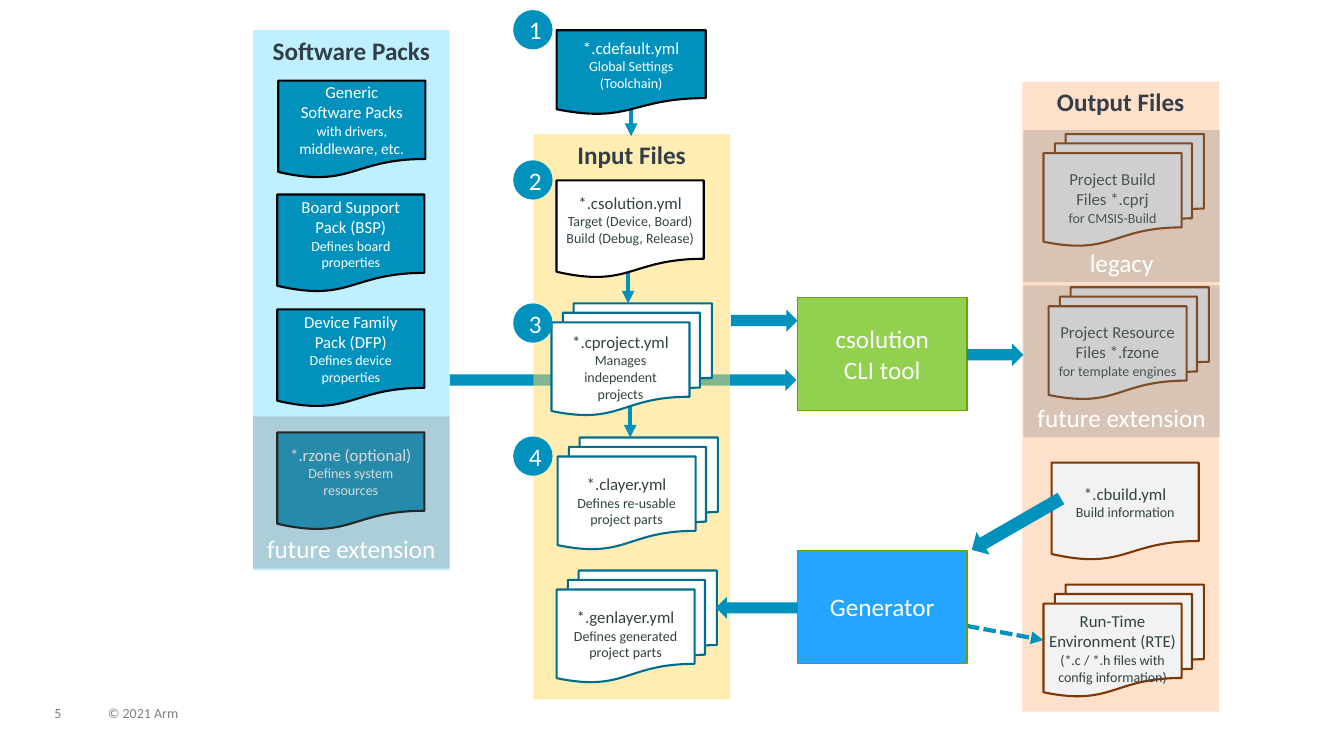
import pptx
import pptx.util
import pptx.dml.color
import pptx.enum.dml
import pptx.enum.shapes
import pptx.enum.text
import pptx.oxml.ns
import pptx.oxml.xmlchemy

Inches, Pt = pptx.util.Inches, pptx.util.Pt
RGBColor = pptx.dml.color.RGBColor
SHAPE = pptx.enum.shapes.MSO_SHAPE
ANCHOR = pptx.enum.text.MSO_ANCHOR
ALIGN = pptx.enum.text.PP_ALIGN

WHITE = RGBColor(0xFF, 0xFF, 0xFF)
BLACK = RGBColor(0x00, 0x00, 0x00)
BLUE = RGBColor(0x00, 0x91, 0xBD)
DARK_BLUE = RGBColor(0x00, 0x6D, 0x8E)
BRIGHT_BLUE = RGBColor(0x24, 0xA5, 0xFF)
PALE_BLUE = RGBColor(0xBF, 0xF0, 0xFF)
YELLOW = RGBColor(0xFF, 0xDD, 0x66)
PEACH = RGBColor(0xFF, 0xC4, 0x99)
BROWN = RGBColor(0x80, 0x36, 0x00)
LIGHT_GREY = RGBColor(0xF2, 0xF2, 0xF2)
GREY = RGBColor(0x80, 0x80, 0x80)
FOOTER_GREY = RGBColor(0x7F, 0x7F, 0x7F)
GREEN = RGBColor(0x92, 0xD0, 0x50)
DARK_GREEN = RGBColor(0x70, 0xA0, 0x00)
HEADING = RGBColor(0x33, 0x3E, 0x48)
INK = RGBColor(0x31, 0x43, 0x41)

# Columns: heading, left, top, height, fill, opacity in percent
COLUMN_WIDTH = 1.95
COLUMNS = [
    ("Output Files", 10.14, 0.81, 6.25, PEACH, 50),
    ("Input Files", 5.29, 1.33, 5.61, YELLOW, 50),
    ("Software Packs", 2.51, 0.3, 5.36, PALE_BLUE, 100),
]

# Document styles: fill, outline, text colour
PACK = (BLUE, BLACK, WHITE)
SOLUTION = (WHITE, BLACK, INK)
PROJECT = (WHITE, DARK_BLUE, INK)
OUTPUT = (LIGHT_GREY, BROWN, INK)

SINGLE, STACK = (1.46, 0.97), (1.59, 1.11)
DEFAULT_SIZE = (1.48, 0.84)

# Documents: left, top, size, style, side inset, lines as (text, points)
DOCUMENTS = [
    (2.76, 0.8, SINGLE, PACK, 0.1, [("Generic", 12), ("Software Packs", 12),
                                    ("with drivers,", 10), ("middleware, etc.", 11)]),
    (2.75, 1.93, SINGLE, PACK, 0.1, [("Board Support Pack (BSP)", 12),
                                     ("Defines board", 10), ("properties", 10)]),
    (2.75, 3.07, SINGLE, PACK, 0.1, [("Device Family Pack (DFP)", 12),
                                     ("Defines device", 10), ("properties", 10)]),
    (2.75, 4.29, SINGLE, PACK, 0.1, [("*.rzone (optional)", 12),
                                     ("Defines system resources", 10)]),
    (5.52, 0.3, DEFAULT_SIZE, PACK, 0.1, [("*.cdefault.yml", 12),
                                          ("Global Settings", 10), ("(Toolchain)", 10)]),
    (5.52, 1.79, SINGLE, SOLUTION, 0, [("*.csolution.yml", 12), ("Target (Device, Board)", 10),
                                       ("Build (Debug, Release)", 10)]),
    (5.47, 3.01, STACK, PROJECT, 0.1, [("*.cproject.yml", 12), ("Manages", 10),
                                       ("independent", 10), ("projects", 10)]),
    (5.53, 4.34, STACK, PROJECT, 0.1, [("*.clayer.yml", 12),
                                       ("Defines re-usable project parts", 10)]),
    (5.52, 5.66, STACK, PROJECT, 0.1, [("*.genlayer.yml", 12),
                                       ("Defines generated", 10), ("project parts", 10)]),
    (10.35, 1.33, STACK, OUTPUT, 0.1, [("Project Build Files *.cprj", 12),
                                       ("for CMSIS-Build", 10)]),
    (10.4, 2.85, STACK, OUTPUT, 0.1, [("Project Resource Files *.fzone", 12),
                                      ("for template engines", 10)]),
    (10.43, 4.59, SINGLE, OUTPUT, 0, [("*.cbuild.yml", 12), ("Build information", 10)]),
    (10.35, 5.8, STACK, OUTPUT, 0.04, [("Run-Time Environment (RTE)", 12),
                                       ("(*.c / *.h files with config information)", 10)]),
]

# Tools: lines, top, fill
TOOLS = [(["csolution", "CLI tool"], 2.95, GREEN), (["Generator"], 5.46, BRIGHT_BLUE)]

# Tops of the numbered step circles
STEP_TOPS = [0.1, 1.59, 3.01, 4.33]

# Block arrows: left, top, width, height, rotation
PACKS_ARROW = (4.46, 3.66, 3.44, 0.22, 0)
BLOCK_ARROWS = [
    (7.25, 3.07, 0.66, 0.22, 0),
    (9.59, 3.41, 0.56, 0.22, 0),
    (7.1, 5.92, 0.81, 0.22, 180),
    (9.57, 5.07, 1.02, 0.26, 150.1),
]

# Thin arrows: start x, start y, end x, end y, dotted
THIN_ARROWS = [
    (6.26, 1.04, 6.26, 1.35, False),
    (6.23, 2.71, 6.23, 3.01, False),
    (6.25, 4.04, 6.25, 4.34, False),
    (9.59, 6.21, 10.35, 6.35, True),
]

# Veils over parts that are not current: label, left, top
VEILS = [("legacy", 10.15, 1.29), ("future extension", 10.15, 2.83),
         ("future extension", 2.51, 4.13)]

# Footer: text, left, width
FOOTER = [("5", 0.54, 0.34), ("© 2021 Arm", 1.07, 5.07)]

deck = pptx.Presentation()
deck.slide_width, deck.slide_height = Inches(13.33), Inches(7.5)
page = deck.slides.add_slide(deck.slide_layouts[6])


def write(shape, lines, color, anchor=ANCHOR.MIDDLE, side=0.1, bold=False,
          align=ALIGN.CENTER, edge=0.05):
    frame = shape.text_frame
    frame.word_wrap = True
    frame.vertical_anchor = anchor
    frame.margin_left = frame.margin_right = Inches(side)
    frame.margin_top = frame.margin_bottom = Inches(edge)
    frame.text = "\n".join(text for text, size in lines)
    for para, (text, size) in zip(frame.paragraphs, lines):
        para.alignment = align
        font = para.runs[0].font
        font.name, font.size, font.bold = "Calibri", Pt(size), bold
        font.color.rgb = color


def add_element(parent, tag, **attributes):
    element = pptx.oxml.xmlchemy.OxmlElement(tag)
    for name, value in attributes.items():
        element.set(name, value)
    parent.append(element)


def draw(kind, left, top, width, height, fill, outline=None, weight=1.5, opacity=100):
    shape = page.shapes.add_shape(kind, Inches(left), Inches(top), Inches(width), Inches(height))
    shape.shadow.inherit = False
    shape.fill.solid()
    shape.fill.fore_color.rgb = fill
    if opacity < 100:
        color = shape._element.spPr.find(".//" + pptx.oxml.ns.qn("a:srgbClr"))
        add_element(color, "a:alpha", val=str(opacity * 1000))
    if outline is None:
        shape.line.fill.background()
    else:
        shape.line.color.rgb = outline
        shape.line.width = Pt(weight)
    return shape


def draw_block_arrow(left, top, width, height, rotation):
    draw(SHAPE.RIGHT_ARROW, left, top, width, height, BLUE).rotation = rotation


# Columns, with the packs arrow passing behind the input column
draw_block_arrow(*PACKS_ARROW)
for heading, left, top, height, fill, opacity in COLUMNS:
    column = draw(SHAPE.RECTANGLE, left, top, COLUMN_WIDTH, height, fill, opacity=opacity)
    write(column, [(heading, 18)], HEADING, ANCHOR.TOP, bold=True)

# Thin arrows
for start_x, start_y, end_x, end_y, dotted in THIN_ARROWS:
    arrow = page.shapes.add_connector(pptx.enum.shapes.MSO_CONNECTOR.STRAIGHT, Inches(start_x),
                                      Inches(start_y), Inches(end_x), Inches(end_y))
    arrow.line.color.rgb = BLUE
    arrow.line.width = Pt(3)
    if dotted:
        arrow.line.dash_style = pptx.enum.dml.MSO_LINE.SQUARE_DOT
    properties = arrow._element.spPr
    add_element(properties.find(pptx.oxml.ns.qn("a:ln")), "a:tailEnd", type="triangle")
    add_element(properties, "a:effectLst")

# Documents
for left, top, size, (fill, outline, ink), side, lines in DOCUMENTS:
    kind = SHAPE.FLOWCHART_MULTIDOCUMENT if size == STACK else SHAPE.FLOWCHART_DOCUMENT
    write(draw(kind, left, top, *size, fill, outline), lines, ink, side=side)

# Tools and block arrows
for lines, top, fill in TOOLS:
    tool = draw(SHAPE.RECTANGLE, 7.91, top, 1.68, 1.12, fill, DARK_GREEN, 1)
    write(tool, [(line, 18) for line in lines], WHITE)
for block_arrow in BLOCK_ARROWS:
    draw_block_arrow(*block_arrow)

# Step numbers
for number, top in enumerate(STEP_TOPS, 1):
    write(draw(SHAPE.OVAL, 5.09, top, 0.39, 0.39, BLUE), [(str(number), 18)], WHITE)

# Veils
for label, left, top in VEILS:
    veil = draw(SHAPE.RECTANGLE, left, top, COLUMN_WIDTH, 1.51, GREY, opacity=30)
    write(veil, [(label, 18)], WHITE, ANCHOR.BOTTOM)

# Footer
for text, left, width in FOOTER:
    box = page.shapes.add_textbox(Inches(left), Inches(7.01), Inches(width), Inches(0.15))
    write(box, [(text, 10)], FOOTER_GREY, ANCHOR.TOP, side=0, align=ALIGN.LEFT, edge=0)
    box.text_frame.paragraphs[0].line_spacing = 0.9

deck.save("out.pptx")
